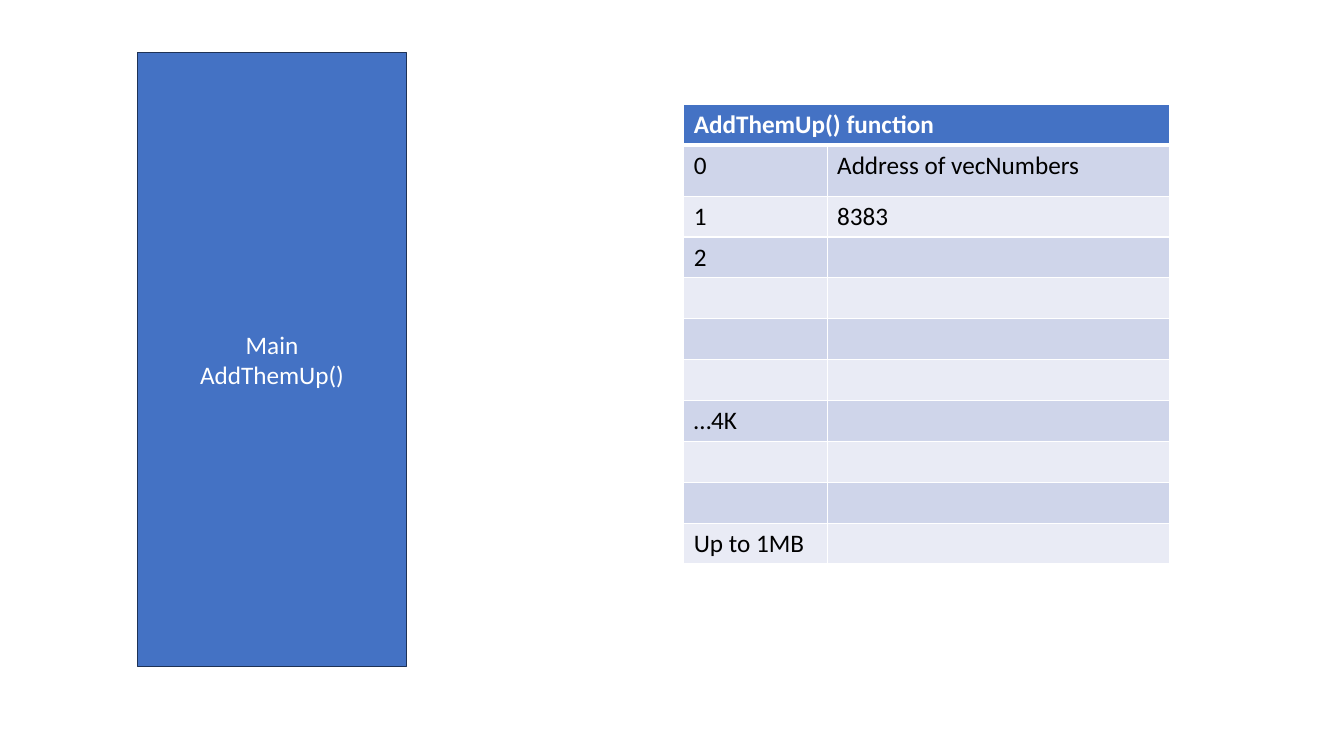
from pptx import Presentation
from pptx.dml.color import RGBColor
from pptx.enum.shapes import MSO_SHAPE
from pptx.enum.text import MSO_ANCHOR, PP_ALIGN
from pptx.oxml.ns import qn
from pptx.util import Pt
from lxml.etree import SubElement

BLUE = RGBColor(0x44, 0x72, 0xC4)
NAVY = RGBColor(0x1E, 0x32, 0x56)
WHITE = RGBColor(0xFF, 0xFF, 0xFF)
BLACK = RGBColor(0, 0, 0)
BANDS = [RGBColor(0xE9, 0xEB, 0xF5), RGBColor(0xCF, 0xD5, 0xEA)]

HEAD = "AddThemUp() function"
ROWS = [
    ("0", "Address of vecNumbers"),
    ("1", "8383"),
    ("2", ""),
    ("", ""),
    ("", ""),
    ("", ""),
    ("…4K", ""),
    ("", ""),
    ("", ""),
    ("Up to 1MB", ""),
]


def style(para, color, bold=False):
    font = para.font
    font.name = "Calibri"
    font.size = Pt(18)
    font.bold = bold
    font.color.rgb = color


def add_box(slide, left, top, width, height, lines):
    box = slide.shapes.add_shape(
        MSO_SHAPE.RECTANGLE, Pt(left), Pt(top), Pt(width), Pt(height))
    box.shadow.inherit = False
    box.fill.solid()
    box.fill.fore_color.rgb = BLUE
    box.line.color.rgb = NAVY
    box.line.width = Pt(1)
    frame = box.text_frame
    frame.vertical_anchor = MSO_ANCHOR.MIDDLE
    frame.text = "\n".join(lines)
    for para in frame.paragraphs:
        para.alignment = PP_ALIGN.CENTER
        style(para, WHITE)


def add_edge(cell, side, width):
    edge = SubElement(cell._tc.get_or_add_tcPr(), qn("a:ln" + side), w=str(Pt(width)))
    fill = SubElement(edge, qn("a:solidFill"))
    SubElement(fill, qn("a:srgbClr"), val=str(WHITE))


def fill_cell(cell, text, row):
    head = row == 0
    widths = {"L": 1, "R": 1, "T": 3 if row == 1 else 1, "B": 3 if head else 1}
    for side, width in widths.items():
        add_edge(cell, side, width)
    cell.fill.solid()
    cell.fill.fore_color.rgb = BLUE if head else BANDS[row % 2]
    if text:
        cell.text = text
    style(cell.text_frame.paragraphs[0], WHITE if head else BLACK, head)


def add_stack(slide, left, top, widths, heights, rows):
    table = slide.shapes.add_table(
        len(rows), len(widths), Pt(left), Pt(top),
        Pt(sum(widths)), Pt(sum(heights))).table
    for col, width in zip(table.columns, widths):
        col.width = Pt(width)
    for line, height in zip(table.rows, heights):
        line.height = Pt(height)
    for i, row in enumerate(rows):
        for j, text in enumerate(row):
            fill_cell(table.cell(i, j), text, i)
    table.cell(0, 0).merge(table.cell(0, len(widths) - 1))


def main():
    deck = Presentation()
    deck.slide_width, deck.slide_height = Pt(960), Pt(540)
    slide = deck.slides.add_slide(deck.slide_layouts[6])
    add_box(slide, 98.3, 37.3, 192, 439, ["Main", "AddThemUp()"])
    heights = [29.2, 36.4] + [29.2] * (len(ROWS) - 1)
    add_stack(slide, 488.4, 74.5, [102.4, 244.8], heights, [(HEAD, "")] + ROWS)
    deck.save("out.pptx")


if __name__ == "__main__":
    main()
